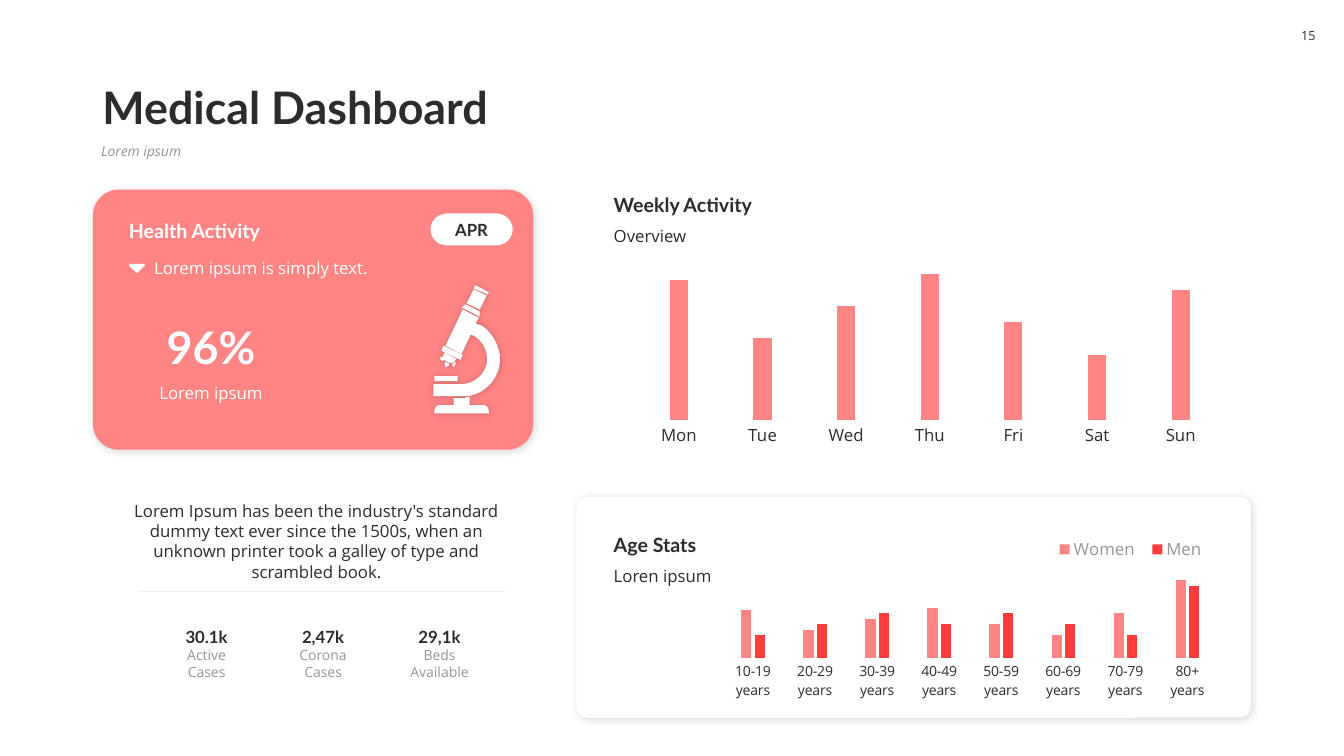
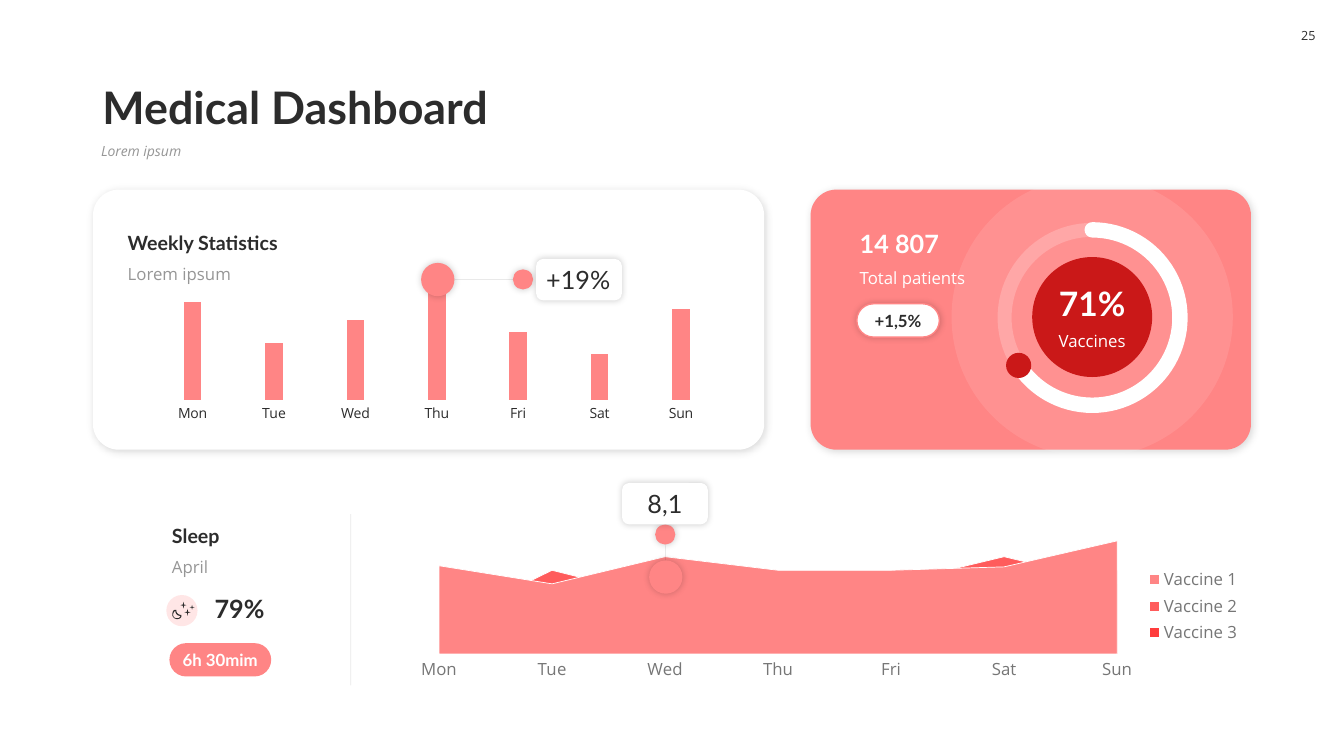
from dataclasses import dataclass

from lxml.etree import SubElement
from pptx import Presentation
from pptx.chart.data import CategoryChartData
from pptx.dml.color import RGBColor
from pptx.enum.chart import XL_CHART_TYPE, XL_LEGEND_POSITION, XL_TICK_MARK
from pptx.enum.shapes import MSO_CONNECTOR, MSO_SHAPE
from pptx.enum.text import MSO_ANCHOR, MSO_AUTO_SIZE, PP_ALIGN
from pptx.oxml.ns import qn
from pptx.util import Pt

COLUMN, AREA = XL_CHART_TYPE.COLUMN_CLUSTERED, XL_CHART_TYPE.AREA
LEGEND_TOP, LEGEND_RIGHT = XL_LEGEND_POSITION.TOP, XL_LEGEND_POSITION.RIGHT
NO_TICK = XL_TICK_MARK.NONE
ROUNDED, ELLIPSE, ARC = MSO_SHAPE.ROUNDED_RECTANGLE, MSO_SHAPE.OVAL, MSO_SHAPE.ARC
STAR = MSO_SHAPE.STAR_4_POINT
STRAIGHT = MSO_CONNECTOR.STRAIGHT
TOP, MIDDLE, BOTTOM = MSO_ANCHOR.TOP, MSO_ANCHOR.MIDDLE, MSO_ANCHOR.BOTTOM
LEFT, CENTER = PP_ALIGN.LEFT, PP_ALIGN.CENTER
NO_AUTOSIZE = MSO_AUTO_SIZE.NONE

WHITE, BLACK, INK, GREY, AXIS_GREY, RULE = "FFFFFF", "000000", "2C2C2C", "969696", "767676", "DFDFDF"
PINK, CORAL, RED, CRIMSON = "FF8585", "FF5C5C", "FF3C3C", "CA1818"
CARD_SHADOW, SMALL_SHADOW = (15, 6, 1), (20, 5, 0)
DAYS = ("Mon", "Tue", "Wed", "Thu", "Fri", "Sat", "Sun")
AGES = ("10-19", "20-29", "30-39", "40-49", "50-59", "60-69", "70-79", "80+")
ICON_UNIT = 0.72


def lato(size: float, bold: bool = True) -> dict:
    """Return format values for the heading face."""
    return {"name": "Lato", "size": Pt(size), "bold": bold}


def sans(size: float, italic: bool = False) -> dict:
    """Return format values for the text face."""
    return {"name": "Open Sans", "size": Pt(size), "bold": False, "italic": italic}


@dataclass(frozen=True)
class Box:
    """Position and size in points."""
    x: float
    y: float
    w: float
    h: float

    def lengths(self) -> tuple:
        """Return the four lengths."""
        return Pt(self.x), Pt(self.y), Pt(self.w), Pt(self.h)


@dataclass(frozen=True)
class ChartPlan:
    """Data and look of a chart."""
    box: Box
    kind: int
    categories: tuple
    series: dict
    plot: tuple
    gap: int = 360
    axis_size: float = 12
    axis_color: str = INK
    legend: tuple = ()
    legend_side: int = LEGEND_TOP
    legend_color: str = GREY


MICROSCOPE = (
    ((36, 111), (36, 119), (50, 119), (53, 119, 55, 122, 55, 125), (55, 127), (1, 127), (1, 125),
     (1, 122, 3, 119, 6, 119), (20, 119), (20, 112), (32, 112), (32, 111)),
    ((1, 90), (24, 90), (24, 95), (1, 95)),
    ((22, 76), (22, 78), (21, 80), (20, 81), (19, 79), (18, 78), (19, 78)),
    ((12, 76), (14, 77), (16, 78), (15, 80), (12, 81), (11, 78)),
    ((9, 71), (10, 73), (11, 74), (9, 75), (7, 74), (7, 71)),
    ((11, 67), (23, 73), (22, 74), (21, 77, 17, 78, 14, 76), (11, 75, 9, 72, 10, 69)),
    ((10, 60), (29, 69), (27, 74), (8, 65)),
    ((29, 24), (45, 32), (42, 38), (48, 40), (57, 46, 64, 57, 66, 69), (68, 88, 55, 106, 35, 110),
     (0, 110), (0, 98), (30, 98), (35, 97), (47, 93, 55, 82, 53, 70), (52, 61, 47, 54, 40, 50),
     (37, 49), (28, 68), (12, 60), (24, 35)),
    ((32, 19), (46, 26), (46, 31), (28, 22)),
    ((40, 4), (53, 10), (46, 24), (33, 18)),
    ((42, 0), (55, 7), (54, 9), (40, 3)),
)
MOON = (
    ((4, 1), (4, 0, 4, 0, 3, 0), (1, 0, 0, 2, 0, 5), (0, 7, 2, 9.2, 5, 9.2),
     (7, 9.2, 9, 8, 9, 6), (9, 5, 9, 5, 8, 5), (6, 5, 4, 3, 4, 1)),
    ((5, 8.4), (2.2, 8.4, 0.8, 7, 0.8, 5), (0.8, 3, 1.8, 1.4, 3, 1),
     (3, 4, 5, 6, 8, 6), (7.8, 7.4, 6.5, 8.4, 5, 8.4)),
)
MARKER = (((15, 0), (16, 1), (15, 2), (8.6, 8.6), (7.4, 8.6), (0, 2), (0, 1), (1, 0)),)


def rgb(color: str) -> RGBColor:
    """Turn a hex string into a colour."""
    return RGBColor.from_string(color)


def paint(fill, color: str) -> None:
    """Apply a solid colour to a fill."""
    fill.solid()
    fill.fore_color.rgb = rgb(color)


def set_font(font, values: dict, color: str) -> None:
    """Apply format values and a colour to a font."""
    for key, value in values.items():
        setattr(font, key, value)
    font.color.rgb = rgb(color)


def fade(shape, percent: float) -> None:
    """Set the opacity of the first colour in a shape."""
    color = next(shape.element.spPr.iter(qn("a:srgbClr")))
    SubElement(color, qn("a:alpha"), val=str(int(percent * 1000)))


def add_shadow(shape, shadow: tuple) -> None:
    """Add an outer shadow from opacity, blur and distance."""
    opacity, blur, distance = shadow
    effects = shape.element.spPr.find(qn("a:effectLst"))
    outer = SubElement(effects, qn("a:outerShdw"), blurRad=str(Pt(blur)), dist=str(Pt(distance)),
                       dir="2700000", algn="tl", rotWithShape="0")
    color = SubElement(outer, qn("a:srgbClr"), val=BLACK)
    SubElement(color, qn("a:alpha"), val=str(opacity * 1000))


def finish(shape, fill: str = "", line: str = "", width: float = 1, shadow: tuple = ()) -> None:
    """Set fill, outline and shadow of a shape."""
    shape.shadow.inherit = False
    if fill:
        paint(shape.fill, fill)
    else:
        shape.fill.background()
    if line:
        paint(shape.line.fill, line)
        shape.line.width = Pt(width)
    else:
        shape.line.fill.background()
    if shadow:
        add_shadow(shape, shadow)


def add_preset(page, kind: int, box: Box, fill: str = "", adjust: tuple = (), **look):
    """Draw a preset shape."""
    shape = page.shapes.add_shape(kind, *box.lengths())
    for index, value in enumerate(adjust):
        shape.adjustments[index] = value
    finish(shape, fill, **look)
    return shape


def write(frame, lines: tuple, anchor: int = TOP, align: int = LEFT, margins: tuple = (7.2, 3.6)) -> None:
    """Write lines of text, format values and colour into a frame."""
    frame.word_wrap, frame.auto_size, frame.vertical_anchor = True, NO_AUTOSIZE, anchor
    frame.margin_left = frame.margin_right = Pt(margins[0])
    frame.margin_top = frame.margin_bottom = Pt(margins[1])
    for index, (text, values, color) in enumerate(lines):
        para = frame.add_paragraph() if index else frame.paragraphs[0]
        para.alignment = align
        span = para.add_run()
        span.text = text
        set_font(span.font, values, color)


def add_text(page, box: Box, text: str, values: dict, color: str = INK, **layout) -> None:
    """Add a text box with one line style."""
    shape = page.shapes.add_textbox(*box.lengths())
    write(shape.text_frame, ((text, values, color),), **layout)


def add_heading(page, x: float, y: float, width: float, heading: str, detail: str, color: str = INK) -> None:
    """Add a heading with a line of detail under it."""
    add_text(page, Box(x, y, width, 24.5), heading, lato(14), anchor=BOTTOM)
    add_text(page, Box(x, y + 24, width, 21.6), detail, sans(12), color)


def add_pill(page, box: Box, text: str, fill: str = WHITE, color: str = INK, **look) -> None:
    """Draw a pill with a label."""
    shape = add_preset(page, ROUNDED, box, fill, (0.5,), **look)
    write(shape.text_frame, ((text, lato(12), color),), MIDDLE, CENTER, (0, 0))


def add_callout(page, x: float, y: float, text: str, align: int) -> None:
    """Draw a raised value box."""
    shape = add_preset(page, ROUNDED, Box(x, y, 61.2, 29.5), WHITE, shadow=SMALL_SHADOW)
    write(shape.text_frame, ((text, lato(18, False), INK),), MIDDLE, align, (5.76, 3.6))


def add_disc(page, x: float, y: float, size: float, fill: str = "", **look):
    """Draw a circle."""
    return add_preset(page, ELLIPSE, Box(x, y, size, size), fill, **look)


def add_rule(page, x1: float, y1: float, x2: float, y2: float) -> None:
    """Draw a faint thin line."""
    rule = page.shapes.add_connector(STRAIGHT, Pt(x1), Pt(y1), Pt(x2), Pt(y2))
    paint(rule.line.fill, INK)
    rule.line.width = Pt(0.5)
    fade(rule, 10)
    SubElement(rule.element.spPr, qn("a:effectLst"))


def flatten(contour: tuple, steps: int = 10) -> list:
    """Turn points and cubic curves into a list of points."""
    points = [contour[0]]
    for part in contour[1:]:
        if len(part) == 2:
            points.append(part)
            continue
        controls = (points[-1], part[:2], part[2:4], part[4:])
        for step in range(1, steps + 1):
            t = step / steps
            weights = ((1 - t) ** 3, 3 * t * (1 - t) ** 2, 3 * t * t * (1 - t), t ** 3)
            points.append(tuple(sum(weight * point[axis] for weight, point in zip(weights, controls))
                                for axis in (0, 1)))
    return [(Pt(x * ICON_UNIT), Pt(y * ICON_UNIT)) for x, y in points]


def add_icon(page, x: float, y: float, contours: tuple, fill: str, **look) -> None:
    """Draw an outline icon at a position."""
    outlines = [flatten(contour) for contour in contours]
    builder = page.shapes.build_freeform(*outlines[0][0])
    for index, outline in enumerate(outlines):
        if index:
            builder.move_to(*outline[0])
        builder.add_line_segments(outline[1:], close=True)
    finish(builder.convert_to_shape(Pt(x), Pt(y)), fill, **look)


def place(parent, position: tuple, inner: bool = False) -> None:
    """Give a chart part a manual layout in fractions of the chart."""
    for old in parent.findall(qn("c:layout")):
        parent.remove(old)
    layout = parent.makeelement(qn("c:layout"), {})
    manual = SubElement(layout, qn("c:manualLayout"))
    if inner:
        SubElement(manual, qn("c:layoutTarget"), val="inner")
    for name in ("xMode", "yMode"):
        SubElement(manual, qn(f"c:{name}"), val="edge")
    for name, value in zip("xywh", position):
        SubElement(manual, qn(f"c:{name}"), val=str(value))
    before = parent.find(qn("c:legendPos"))
    parent.insert(0 if before is None else 1, layout)


def add_chart(page, plan: ChartPlan) -> None:
    """Draw a chart from its plan."""
    data = CategoryChartData()
    data.categories = plan.categories
    for name, (values, _) in plan.series.items():
        data.add_series(name, values)
    chart = page.shapes.add_chart(plan.kind, *plan.box.lengths(), data).chart
    chart.has_title = False
    set_font(chart.font, sans(12), INK)
    value_axis, category_axis = chart.value_axis, chart.category_axis
    value_axis.minimum_scale, value_axis.maximum_scale = 0, 100
    value_axis.has_major_gridlines = value_axis.visible = False
    category_axis.major_tick_mark = category_axis.minor_tick_mark = NO_TICK
    set_font(category_axis.tick_labels.font, sans(plan.axis_size), plan.axis_color)
    axis_line = category_axis.format.line
    axis_line.fill.background()
    plot = chart.plots[0]
    plot.vary_by_categories = False
    if plan.kind == COLUMN:
        plot.gap_width, plot.overlap = plan.gap, -30
    else:
        paint(axis_line.fill, RULE)
        axis_line.width = Pt(0.75)
    for series, (_, color) in zip(plot.series, plan.series.values()):
        paint(series.format.fill, color)
        if plan.kind == AREA:
            paint(series.format.line.fill, WHITE)
            series.format.line.width = Pt(0.5)
    place(chart.element.find(".//" + qn("c:plotArea")), plan.plot, True)
    chart.has_legend = bool(plan.legend)
    if plan.legend:
        chart.legend.position, chart.legend.include_in_layout = plan.legend_side, False
        set_font(chart.legend.font, sans(12), plan.legend_color)
        place(chart.element.find(".//" + qn("c:legend")), plan.legend)


def add_page(deck, number: str):
    """Add a page with the shared title, subtitle and number."""
    page = deck.slides.add_slide(deck.slide_layouts[1])
    parts = ((page.shapes.title, Box(66, 42, 828, 57.6), "Medical Dashboard", lato(32), INK, BOTTOM),
             (page.placeholders[1], Box(65, 99.5, 829, 26), "Lorem ipsum", sans(10, True), GREY, TOP))
    for shape, box, text, values, color, anchor in parts:
        shape.left, shape.top, shape.width, shape.height = box.lengths()
        para = shape.text_frame.paragraphs[0]
        properties = para._p.get_or_add_pPr()
        properties.set("marL", "0")
        properties.set("indent", "0")
        SubElement(properties, qn("a:buNone"))
        para.line_spacing, para.space_before = 0.9, Pt(0)
        write(shape.text_frame, ((text, values, color),), anchor)
    add_text(page, Box(921.5, 13, 26, 25), number, sans(9), anchor=MIDDLE, align=CENTER, margins=(0, 3.6))
    return page


def add_card(page, box: Box, fill: str, adjust: float = 0.1) -> None:
    """Draw a raised card."""
    add_preset(page, ROUNDED, box, fill, (adjust,), shadow=CARD_SHADOW)


def build_activity(deck) -> None:
    """Build the health activity page."""
    page = add_page(deck, "15")
    add_card(page, Box(66.4, 135.4, 314.6, 185.8), PINK)
    add_text(page, Box(92, 224.6, 117.4, 46), "96%", lato(32), WHITE, anchor=BOTTOM, align=CENTER)
    add_text(page, Box(92, 270, 117.4, 21.6), "Lorem ipsum", sans(12), WHITE, align=CENTER)
    add_pill(page, Box(307, 152, 59.8, 23.8), "APR", line=PINK)
    add_text(page, Box(85, 152, 180, 24.5), "Health Activity", lato(14), WHITE, anchor=BOTTOM)
    add_text(page, Box(103, 180.4, 264, 21.6), "Lorem ipsum is simply text.", sans(12), WHITE)
    add_icon(page, 92.2, 188.6, MARKER, WHITE)
    add_icon(page, 309.6, 203.8, MICROSCOPE, WHITE, shadow=SMALL_SHADOW)
    add_heading(page, 431.3, 134, 206, "Weekly Activity", "Overview")
    add_chart(page, ChartPlan(Box(446.4, 180, 435.6, 141), COLUMN, DAYS,
                              {"Series 1": ((96, 56, 78, 100, 67, 44, 89), PINK)}, (0.02, 0.11, 0.96, 0.74)))
    add_rule(page, 99.4, 422.6, 361.4, 422.6)
    totals = (("30.1k", "Active", "Cases"), ("2,47k", "Corona", "Cases"), ("29,1k", "Beds", "Available"))
    for index, (total, *words) in enumerate(totals):
        shape = page.shapes.add_textbox(*Box(111.6 + 83.2 * index, 443.5, 72, 46).lengths())
        lines = ((total, lato(12), INK), *((word, sans(10), GREY) for word in words))
        write(shape.text_frame, lines, MIDDLE, CENTER)
    add_text(page, Box(74.2, 354.2, 303.8, 51), "Lorem Ipsum has been the industry's standard dummy text ever since "
             "the 1500s, when an unknown printer took a galley of type and scrambled book.", sans(12), align=CENTER)
    add_card(page, Box(411.8, 355, 481.7, 157.7), WHITE, 0.05)
    add_chart(page, ChartPlan(Box(508.3, 376.6, 369.4, 126), COLUMN, tuple(f"{age} years" for age in AGES),
                              {"Women": ((61, 36, 50, 64, 43, 29, 57, 100), PINK),
                               "Men": ((29, 43, 57, 43, 57, 43, 29, 93), RED)},
                              (0.02, 0.3, 0.96, 0.44), 380, 10, legend=(0.65, 0.06, 0.32, 0.13)))
    add_heading(page, 431.3, 376.3, 158.4, "Age Stats", "Loren ipsum")


def build_statistics(deck) -> None:
    """Build the weekly statistics page."""
    page = add_page(deck, "25")
    add_card(page, Box(66.4, 135.4, 479.5, 185.8), WHITE)
    add_chart(page, ChartPlan(Box(100, 185, 424, 120.2), COLUMN, DAYS,
                              {"Series 1": ((86, 50, 70, 100, 60, 40, 80), PINK)},
                              (0.02, 0.16, 0.96, 0.68), axis_size=10))
    add_heading(page, 84.2, 161, 144, "Weekly Statistics", "Lorem ipsum", GREY)
    add_disc(page, 300.8, 187.8, 23.8, PINK, shadow=SMALL_SHADOW)
    add_rule(page, 324.7, 199.6, 368.6, 199.6)
    add_disc(page, 366.4, 192.4, 14.4, PINK, shadow=SMALL_SHADOW)
    add_callout(page, 383, 185, "+19%", LEFT)
    add_card(page, Box(579, 135.4, 314.6, 185.8), PINK)
    fade(add_disc(page, 679.7, 126, 200.9, WHITE), 10)
    add_disc(page, 737.3, 183.6, 85.7, CRIMSON)
    ring = Box(717.6, 164.2, 125.3, 125.3)
    fade(add_preset(page, ELLIPSE, ring, line=WHITE, width=10), 20)
    arc = add_preset(page, ARC, ring, adjust=(162, 84.39), line=WHITE, width=11)
    arc.element.spPr.find(qn("a:ln")).set("cap", "rnd")
    add_disc(page, 718.6, 252, 18, CRIMSON)
    add_text(page, Box(737.3, 198.7, 85.7, 36), "71%", lato(24), WHITE, anchor=BOTTOM, align=CENTER)
    add_text(page, Box(737.3, 232.6, 85.7, 21.6), "Vaccines", sans(12), WHITE, align=CENTER)
    add_text(page, Box(607, 159.8, 134, 28.8), "14 807", lato(18), WHITE, anchor=BOTTOM)
    add_text(page, Box(607, 187.9, 134, 21.6), "Total patients", sans(12), WHITE)
    add_pill(page, Box(612, 217, 59, 23.8), "+1,5%", line=PINK, shadow=SMALL_SHADOW)
    add_heading(page, 115.8, 370, 119.5, "Sleep", "April", GREY)
    fade(add_disc(page, 118.8, 425, 22.3, PINK), 20)
    add_text(page, Box(146.2, 420.5, 89.3, 28.8), "79%", lato(18), anchor=BOTTOM)
    add_pill(page, Box(121, 459.4, 72.7, 23.8), "6h 30mim", PINK, WHITE)
    add_icon(page, 123.1, 435.6, MOON, INK)
    for star in (Box(135.4, 432, 3.6, 3.6), Box(128.9, 429.8, 4.3, 5), Box(131.8, 434.9, 4.3, 5)):
        add_preset(page, STAR, star, INK)
    add_rule(page, 250.6, 489.6, 250.6, 367.2)
    add_chart(page, ChartPlan(Box(289.4, 375, 605.5, 113.8), AREA, DAYS,
                              {"Vaccine 1": ((78, 62, 86, 74, 74, 77, 100), PINK),
                               "Vaccine 2": ((25, 74, 49, 37, 62, 86, 62), CORAL),
                               "Vaccine 3": ((37, 49, 25, 25, 49, 62, 74), RED)},
                              (0.04, 0.1, 0.8, 0.71), axis_color=AXIS_GREY, legend=(0.87, 0.25, 0.12, 0.52),
                              legend_side=LEGEND_RIGHT, legend_color=AXIS_GREY))
    add_disc(page, 463.7, 400.3, 23.8, PINK, shadow=SMALL_SHADOW)
    add_rule(page, 475.4, 389.5, 475.4, 400.3)
    add_disc(page, 468, 374.6, 14.4, PINK, shadow=SMALL_SHADOW)
    add_callout(page, 444.4, 345, "8,1", CENTER)


def main() -> None:
    """Build and save the deck."""
    deck = Presentation()
    deck.slide_width, deck.slide_height = Pt(960), Pt(540)
    build_activity(deck)
    build_statistics(deck)
    deck.save("out.pptx")


if __name__ == "__main__":
    main()
